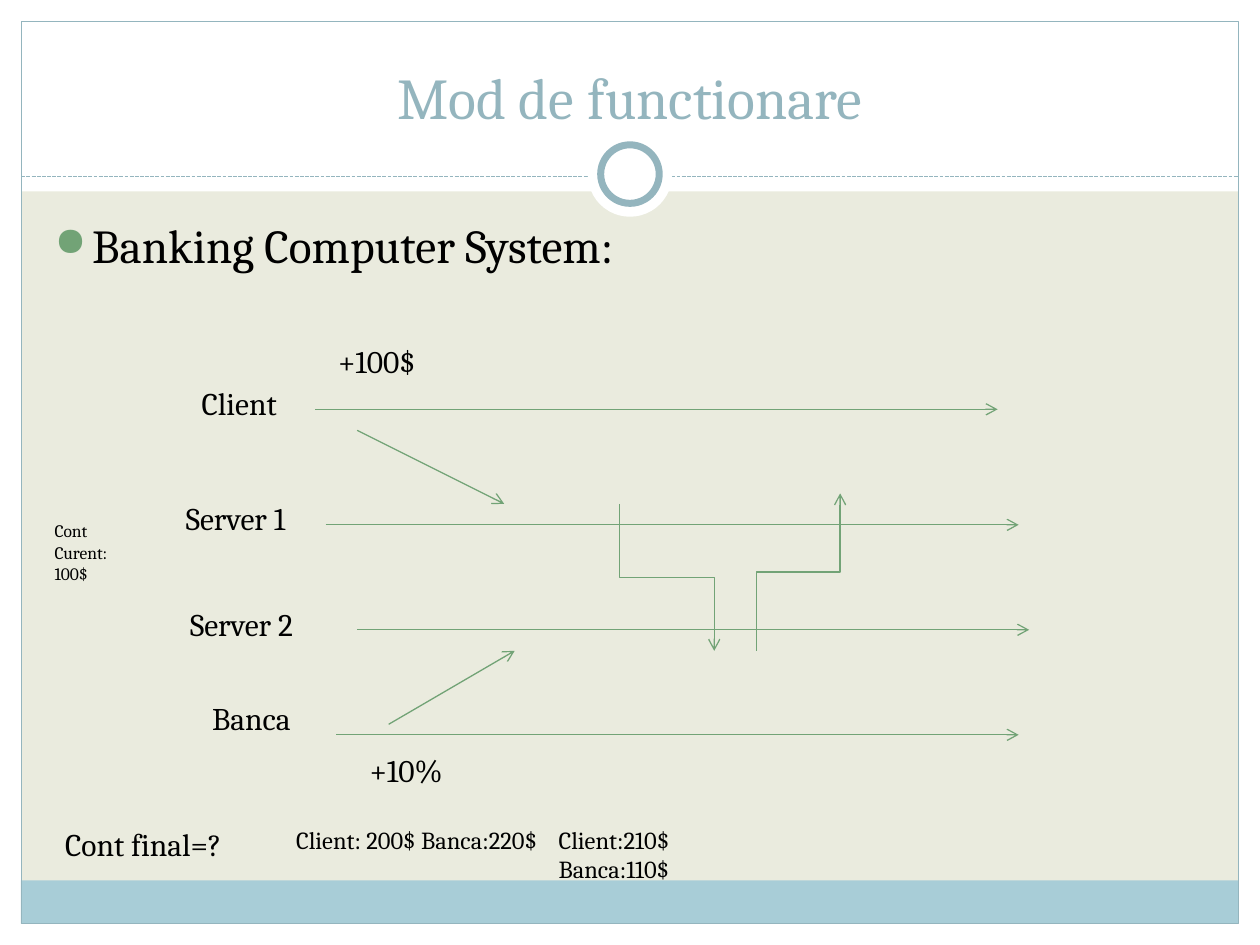
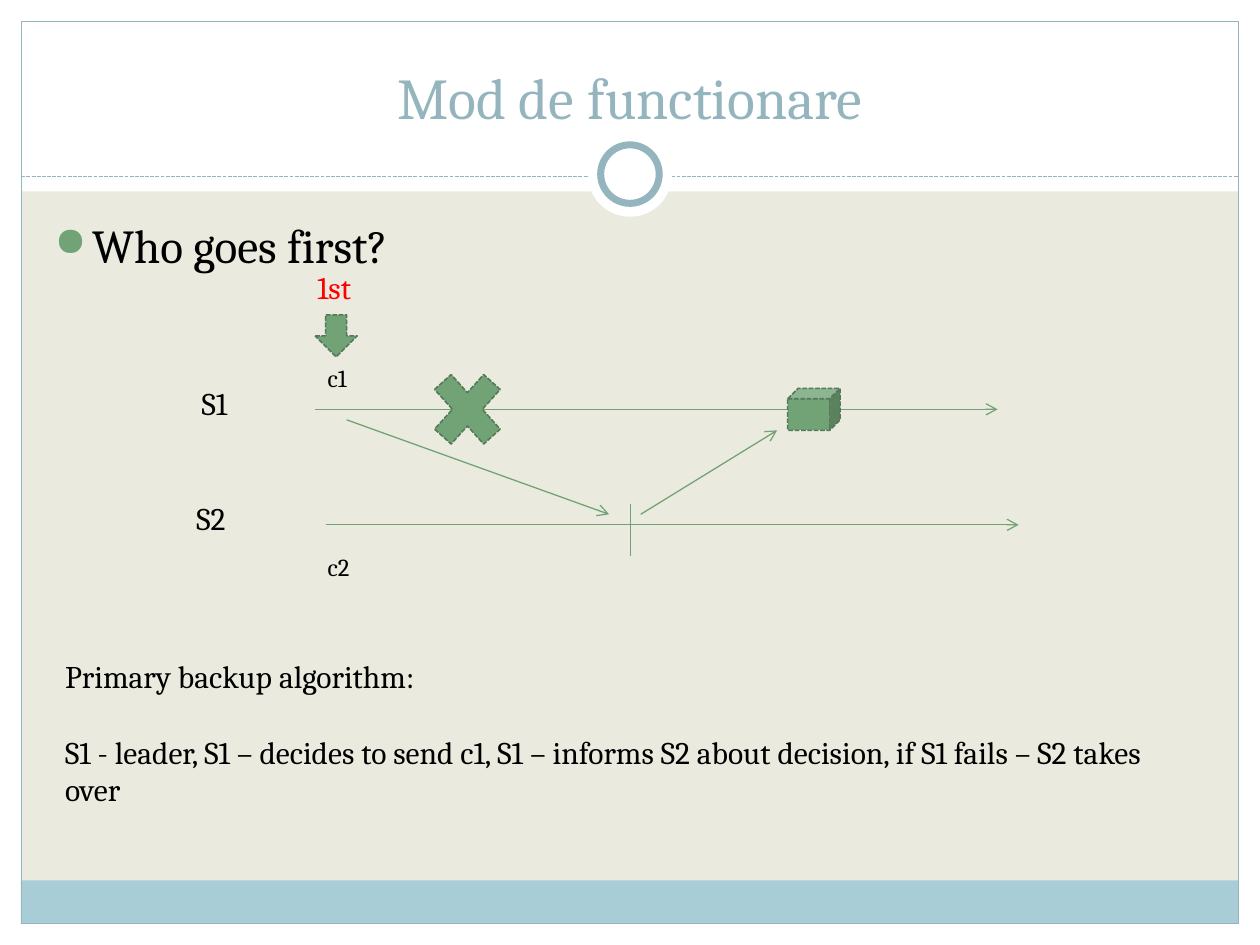
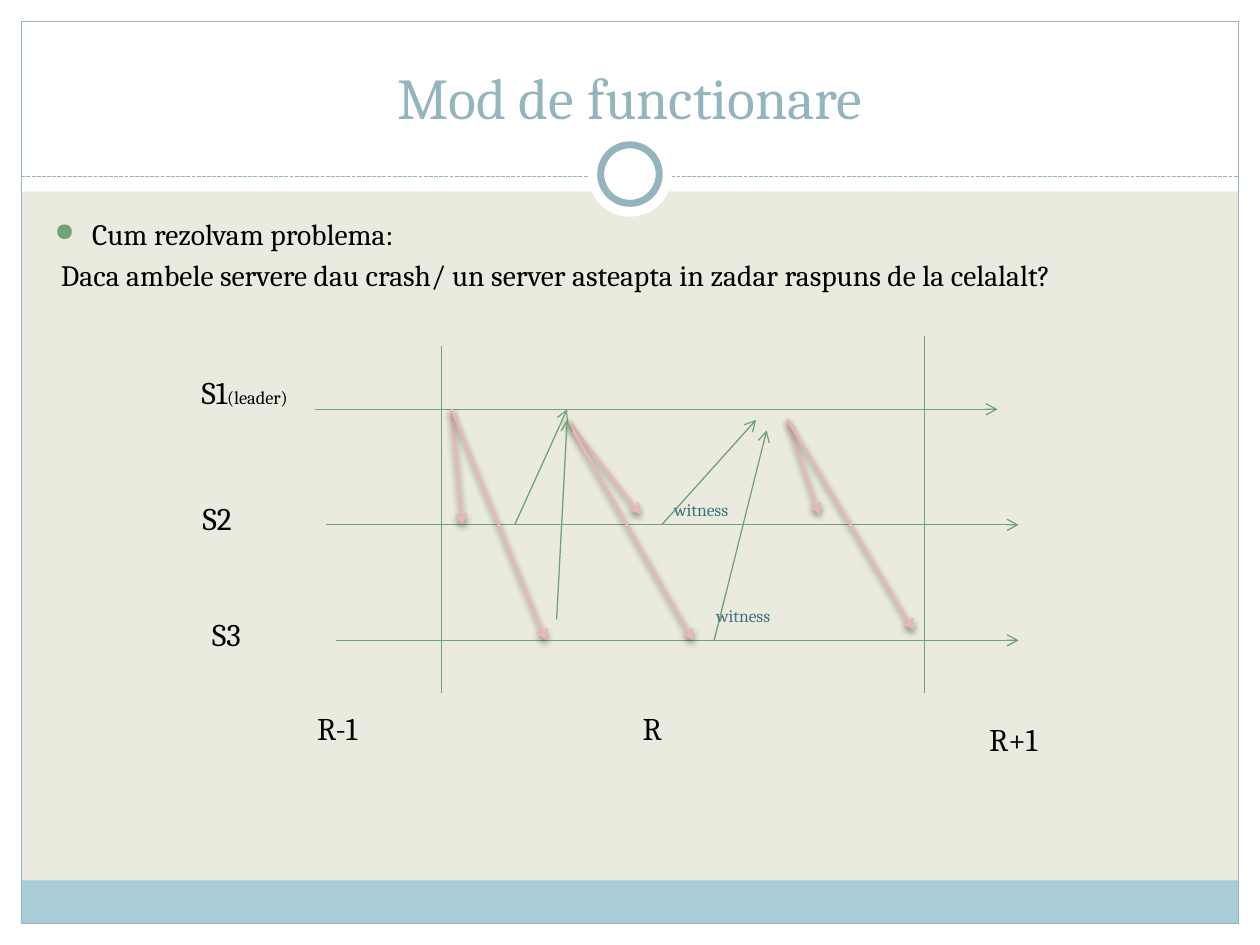
import dataclasses

import lxml.etree
import pptx
import pptx.dml.color
import pptx.enum.dml
import pptx.enum.shapes
import pptx.enum.text
import pptx.oxml.ns
import pptx.util

Cm = pptx.util.Cm
Pt = pptx.util.Pt
SHAPES = pptx.enum.shapes.MSO_SHAPE
CONNECTORS = pptx.enum.shapes.MSO_CONNECTOR
DASH = pptx.enum.dml.MSO_LINE.SQUARE_DOT
FONT = "Cambria"
GRID = Cm(2.54) / 12
COLOURS = {
    "paper": "EAEBDE",
    "white": "FFFFFF",
    "band": "A8CDD7",
    "frame": "94B5BE",
    "green": "72A376",
    "dark_green": "547957",
    "pink": "E8B7B7",
    "black": "000000",
    "red": "FF0000",
    "teal": "3C7483",
}


@dataclasses.dataclass
class Box:
    left: int
    top: int
    width: int
    height: int

    def point(self, column, row):
        return round(self.left + column * GRID), round(self.top + row * GRID)

    def inner(self, left, top, width, height):
        return Box(self.left + Cm(left), self.top + Cm(top), Cm(width), Cm(height))


def colour(name):
    return pptx.dml.color.RGBColor.from_string(COLOURS[name])


def apply_format(target, values):
    for name, value in values.items():
        setattr(target, name, value)


def add_child(parent, tag, **attributes):
    child = lxml.etree.SubElement(parent, pptx.oxml.ns.qn(tag))
    for name, value in attributes.items():
        child.set(name, str(value))
    return child


def style_line(line, name, width, dash=None):
    line.color.rgb = colour(name)
    apply_format(line, {"width": Pt(width), "dash_style": dash})


def draw_shape(slide, kind, box, fill=None, outline=None):
    shape = slide.shapes.add_shape(kind, box.left, box.top, box.width, box.height)
    shape.shadow.inherit = False
    if fill:
        shape.fill.solid()
        shape.fill.fore_color.rgb = colour(fill)
    else:
        shape.fill.background()
    if outline:
        style_line(shape.line, *outline)
    else:
        shape.line.fill.background()


def draw_line(slide, start, end, name="green", width=0.75, dash=None,
              arrow=True, shadow=False, kind=CONNECTORS.STRAIGHT):
    connector = slide.shapes.add_connector(kind, *start, *end)
    style_line(connector.line, name, width, dash)
    if arrow:
        add_child(connector.line._get_or_add_ln(), "a:tailEnd", type="arrow")
    effects = add_child(connector._element.spPr, "a:effectLst")
    if shadow:
        outer = add_child(effects, "a:outerShdw", blurRad=Pt(4), dist=Pt(2),
                          dir=5400000, rotWithShape=0)
        shade = add_child(outer, "a:srgbClr", val=COLOURS["black"])
        add_child(shade, "a:alpha", val=45000)
    return connector


def draw_vertical_elbow(slide, start, end):
    centre_x, centre_y = ((a + b) // 2 for a, b in zip(start, end))
    turned = [(centre_x + centre_y - y, centre_y + x - centre_x) for x, y in (start, end)]
    connector = draw_line(slide, *turned, kind=CONNECTORS.ELBOW)
    connector._element.spPr.find(pptx.oxml.ns.qn("a:xfrm")).set("rot", "16200000")


def add_run(paragraph, text, size, name="black"):
    run = paragraph.add_run()
    run.text = text
    apply_format(run.font, {"name": FONT, "size": Pt(size)})
    run.font.color.rgb = colour(name)


def text_frame(slide, box, **values):
    frame = slide.shapes.add_textbox(box.left, box.top, box.width, box.height).text_frame
    apply_format(frame, {"word_wrap": True, **values})
    return frame


def draw_label(slide, box, column, row, width, text, size=18, name="black",
               gap=0, small=None):
    left, top = box.point(column, row)
    lines = text.split("\n")
    place = Box(left, top, round(width * GRID), Cm(0.3 + 0.04 * size * len(lines)))
    frame = text_frame(slide, place,
                       auto_size=pptx.enum.text.MSO_AUTO_SIZE.SHAPE_TO_FIT_TEXT)
    for index, line in enumerate(lines):
        paragraph = frame.add_paragraph() if index else frame.paragraphs[0]
        if index and gap:
            paragraph.space_before = Pt(gap)
        add_run(paragraph, line, size, name)
    if small:
        add_run(frame.paragraphs[0], small, 10.5, name)


def draw_frame(slide, page):
    slide.background.fill.solid()
    slide.background.fill.fore_color.rgb = colour("paper")
    for edge in ((0, 18.62, 25.4, 0.43), (0, 0, 25.4, 3.86),
                 (0, 0, 0.43, 19.05), (24.97, 0, 0.43, 19.05)):
        draw_shape(slide, SHAPES.RECTANGLE, page.inner(*edge), "white")
    draw_shape(slide, SHAPES.RECTANGLE, page.inner(0.42, 17.75, 24.54, 0.87), "band")
    draw_shape(slide, SHAPES.RECTANGLE, page.inner(0.43, 0.43, 24.54, 18.19),
               outline=("frame", 0.75))
    rule = page.inner(0.43, 3.56, 24.54, 0)
    draw_line(slide, (rule.left, rule.top), (rule.left + rule.width, rule.top),
              "frame", dash=DASH, arrow=False)
    draw_shape(slide, SHAPES.OVAL, page.inner(11.85, 2.67, 1.7, 1.7), "white")
    draw_shape(slide, SHAPES.OVAL, page.inner(12.11, 2.92, 1.18, 1.18), "white",
               ("frame", 4))


def draw_title(slide, box, text):
    frame = text_frame(slide, box, vertical_anchor=pptx.enum.text.MSO_ANCHOR.BOTTOM)
    frame.paragraphs[0].alignment = pptx.enum.text.PP_ALIGN.CENTER
    add_run(frame.paragraphs[0], text, 33, "frame")


def draw_body(slide, box, bullet, size=27, detail=None):
    frame = text_frame(slide, box)
    paragraph = frame.paragraphs[0]
    paragraph.space_before = Pt(size * 0.2)
    properties = paragraph._p.get_or_add_pPr()
    properties.set("marL", str(Cm(0.76)))
    properties.set("indent", str(-Cm(0.76)))
    add_child(add_child(properties, "a:buClr"), "a:srgbClr", val=COLOURS["green"])
    add_child(properties, "a:buSzPct", val=85000)
    add_child(properties, "a:buChar", char="●")
    add_run(paragraph, bullet, size)
    if detail:
        paragraph = frame.add_paragraph()
        paragraph.space_before = Pt(size * 0.2)
        paragraph._p.get_or_add_pPr().set("marL", str(Cm(0.13)))
        add_run(paragraph, detail, size)


def draw_lanes(slide, box, lanes):
    for text, column, row, start, end, height in lanes:
        draw_label(slide, box, column, row, 80, text)
        draw_line(slide, box.point(start, height), box.point(end, height))


def draw_arrows(slide, box, arrows, **style):
    for x1, y1, x2, y2 in arrows:
        draw_line(slide, box.point(x1, y1), box.point(x2, y2), **style)


def draw_banking(slide, box):
    draw_lanes(slide, box, [
        ("Client", 14, 16, 26, 91, 19),
        ("Server 1", 12.5, 27, 27, 93, 30),
        ("Server 2", 12.9, 37, 30, 94, 40),
        ("Banca", 15, 46, 28, 93, 50),
    ])
    draw_arrows(slide, box, [(30, 21, 44, 28), (33, 49, 45, 42)])
    for start, end in (((68, 42), (76, 27)), ((55, 28), (64, 42))):
        draw_vertical_elbow(slide, box.point(*start), box.point(*end))
    for label in (
        (0, 29, 9, "Cont Curent: 100$", 10),
        (27, 12, 14, "+100$"),
        (30, 51, 13, "+10%"),
        (1, 58, 20, "Cont final=?"),
        (23, 58, 28, "Client: 200$ Banca:220$", 14),
        (48, 58, 21, "Client:210$\nBanca:110$", 14),
    ):
        draw_label(slide, box, *label)


def draw_primary_backup(slide, box):
    draw_lanes(slide, box, [("S1", 14, 16, 26, 91, 19), ("S2", 13.5, 27, 27, 93, 30)])
    draw_arrows(slide, box, [(29, 20, 54, 29), (57, 29, 70, 21)])
    draw_arrows(slide, box, [(56, 28, 56, 33)], arrow=False)
    for kind, column, row, width, height in (
        (SHAPES.DOWN_ARROW, 26, 10, 4, 4),
        (SHAPES.MATH_MULTIPLY, 36, 14, 9, 10),
        (SHAPES.CUBE, 71, 17, 5, 4),
    ):
        place = Box(*box.point(column, row), round(width * GRID), round(height * GRID))
        draw_shape(slide, kind, place, "green", ("dark_green", 0.9, DASH))
    for label in (
        (26, 14, 5, "c1", 14),
        (26, 32, 5, "c2", 14),
        (25, 5, 7, "1st", 18, "red"),
    ):
        draw_label(slide, box, *label)
    draw_label(slide, box, 1, 42, 110,
               "Primary backup algorithm:\nS1 - leader, S1 – decides to send c1, "
               "S1 – informs S2 about decision, if S1 fails – S2 takes over", gap=21.6)


def draw_rounds(slide, box):
    draw_label(slide, box, 14, 15, 82, "S1", small="(leader)")
    draw_arrows(slide, box, [(26, 19, 91, 19)])
    draw_lanes(slide, box, [("S2", 14.1, 27, 27, 93, 30), ("S3", 15, 38, 28, 93, 41)])
    draw_arrows(slide, box, [(38, 13, 38, 46), (84, 12, 84, 46)], arrow=False)
    draw_arrows(slide, box, [
        (39, 19, 40, 30), (39, 19, 48, 41), (50, 20, 57, 29),
        (50, 20, 62, 41), (71, 20, 74, 29), (71, 20, 83, 40),
    ], name="pink", width=1.57, shadow=True)
    draw_arrows(slide, box, [
        (45, 30, 50, 19), (49, 39, 50, 20), (59, 30, 68, 20), (64, 41, 69, 21),
    ])
    for label in (
        (25, 47, 8, "R-1"),
        (56, 47, 7, "R"),
        (89, 48, 19, "R+1"),
        (59, 27, 9, "witness", 10, "teal"),
        (63, 37, 9, "witness", 10, "teal"),
    ):
        draw_label(slide, box, *label)


def main():
    presentation = pptx.Presentation()
    apply_format(presentation, {"slide_width": Cm(25.4), "slide_height": Cm(19.05)})
    page = Box(0, 0, presentation.slide_width, presentation.slide_height)
    diagram = page.inner(0.85, 4.23, 23.62, 13.5)
    for draw_diagram, height, body in (
        (draw_banking, 1.47, {"bullet": "Banking Computer System:"}),
        (draw_primary_backup, 1.47, {"bullet": "Who goes first?"}),
        (draw_rounds, 1.9, {
            "bullet": "Cum rezolvam problema:",
            "size": 16.9,
            "detail": "Daca ambele servere dau crash/ un server asteapta in zadar "
                      "raspuns de la celalalt?",
        }),
    ):
        slide = presentation.slides.add_slide(presentation.slide_layouts[6])
        draw_frame(slide, page)
        draw_title(slide, page.inner(0.85, 0.64, 23.7, 2.12), "Mod de functionare")
        draw_body(slide, diagram.inner(0, 0, 23.62, height), **body)
        draw_diagram(slide, diagram)
    presentation.save("out.pptx")


if __name__ == "__main__":
    main()
